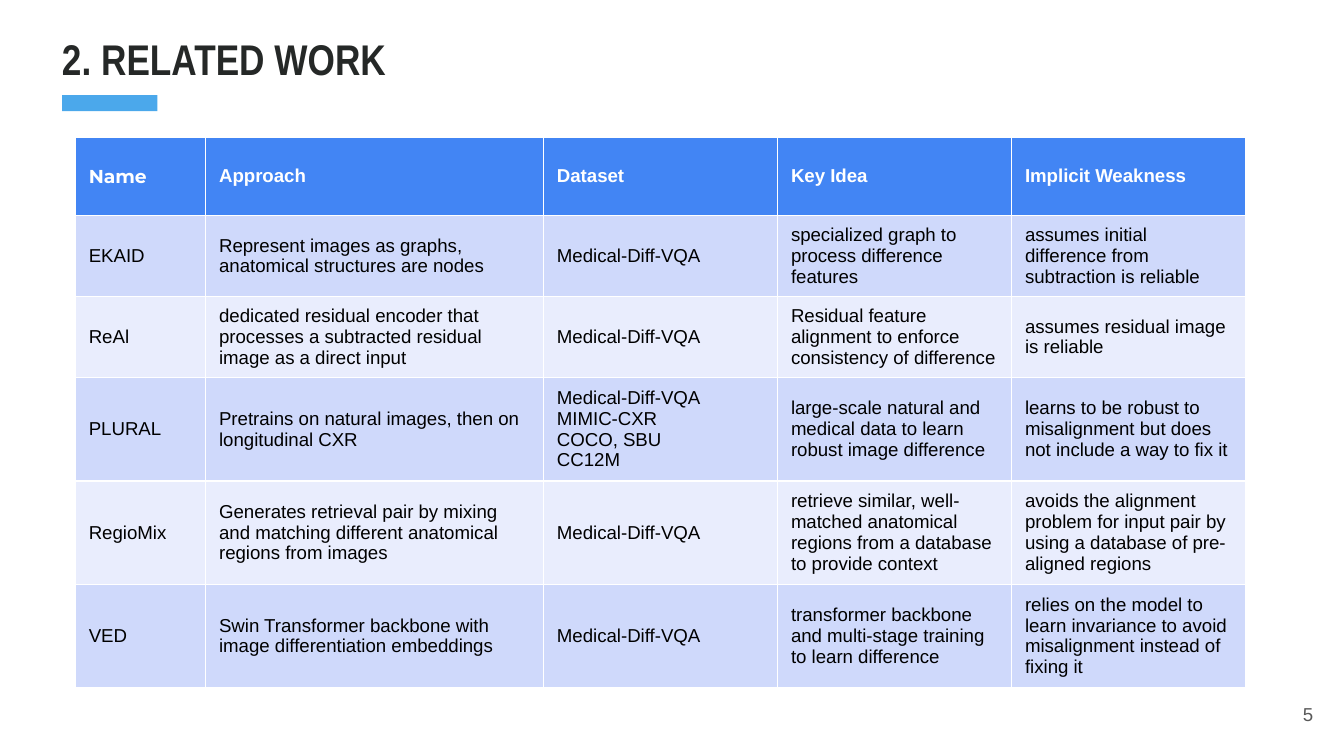
from pptx import Presentation
from pptx.dml.color import RGBColor
from pptx.enum.shapes import MSO_SHAPE
from pptx.enum.text import MSO_ANCHOR, MSO_AUTO_SIZE, PP_ALIGN
from pptx.util import Pt

TITLE = "2. RELATED WORK"
PAGE = "5"
HEAD = ["Name", "Approach", "Dataset", "Key Idea", "Implicit Weakness"]
WORKS = [
    ["EKAID",
     "Represent images as graphs, anatomical structures are nodes",
     "Medical-Diff-VQA",
     "specialized graph to process difference features",
     "assumes initial difference from subtraction is reliable"],
    ["ReAl",
     "dedicated residual encoder that processes a subtracted residual image as a direct input",
     "Medical-Diff-VQA",
     "Residual feature alignment to enforce consistency of difference",
     "assumes residual image is reliable"],
    ["PLURAL",
     "Pretrains on natural images, then on longitudinal CXR",
     "Medical-Diff-VQA\nMIMIC-CXR\nCOCO, SBU\nCC12M",
     "large-scale natural and medical data to learn robust image difference",
     "learns to be robust to misalignment but does not include a way to fix it"],
    ["RegioMix",
     "Generates retrieval pair by mixing and matching different anatomical regions from images",
     "Medical-Diff-VQA",
     "retrieve similar, well-matched anatomical regions from a database to provide context",
     "avoids the alignment problem for input pair by using a database of pre-aligned regions"],
    ["VED",
     "Swin Transformer backbone with image differentiation embeddings",
     "Medical-Diff-VQA",
     "transformer backbone and multi-stage training to learn difference",
     "relies on the model to learn invariance to avoid misalignment instead of fixing it"],
]
WIDTHS = [69.8, 181, 125.4, 125.4, 125.4]
HEIGHTS = [42, 43.4, 43.4, 55.4, 55.4, 55.4]

THEME = {
    "title": ("Arial Narrow", 23, "252827", True),
    "name": ("Montserrat", 10, "FFFFFF", True),
    "head": ("Arial", 10, "FFFFFF", True),
    "cell": ("Arial", 10, "000000", False),
    "page": ("Arial", 10, "595959", False),
    "accent": "4BA8EB",
    "top": "4285F4",
    "bands": ["CFD9FB", "E9EDFD"],
}


def paint(item, color):
    item.fill.solid()
    item.fill.fore_color.rgb = RGBColor.from_string(color)


def write(frame, text, style, align=PP_ALIGN.LEFT):
    face, size, color, bold = THEME[style]
    frame.text = text
    for para in frame.paragraphs:
        para.alignment = align
        font = para.font
        font.name, font.size, font.bold = face, Pt(size), bold
        font.color.rgb = RGBColor.from_string(color)


def pad(frame, anchor):
    frame.word_wrap = True
    frame.auto_size = MSO_AUTO_SIZE.NONE
    frame.vertical_anchor = anchor
    frame.margin_left = frame.margin_right = Pt(7.2)
    frame.margin_top = frame.margin_bottom = Pt(7.2)


def add_title(slide):
    title = slide.shapes.title
    title.left, title.top = Pt(26), Pt(10)
    title.width, title.height = Pt(528.5), Pt(42.5)
    write(title.text_frame, TITLE, "title")
    pad(title.text_frame, MSO_ANCHOR.TOP)
    bar = slide.shapes.add_shape(MSO_SHAPE.RECTANGLE, Pt(33.3), Pt(51), Pt(51), Pt(8.6))
    bar.shadow.inherit = False
    bar.line.fill.background()
    paint(bar, THEME["accent"])


def add_grid(slide):
    rows = [HEAD] + WORKS
    table = slide.shapes.add_table(
        len(rows), len(HEAD), Pt(40.4), Pt(73.5), Pt(sum(WIDTHS)), Pt(sum(HEIGHTS))
    ).table
    for column, width in zip(table.columns, WIDTHS):
        column.width = Pt(width)
    for r, (texts, height) in enumerate(zip(rows, HEIGHTS)):
        table.rows[r].height = Pt(height)
        for c, text in enumerate(texts):
            cell = table.cell(r, c)
            cell.vertical_anchor = MSO_ANCHOR.MIDDLE
            paint(cell, THEME["bands"][(r - 1) % 2] if r else THEME["top"])
            style = "cell" if r else "head" if c else "name"
            write(cell.text_frame, text, style)


def add_page(slide):
    box = slide.shapes.add_textbox(Pt(667.4), Pt(367.2), Pt(43.2), Pt(31))
    write(box.text_frame, PAGE, "page", PP_ALIGN.RIGHT)
    pad(box.text_frame, MSO_ANCHOR.MIDDLE)


def main():
    deck = Presentation()
    deck.slide_width, deck.slide_height = Pt(720), Pt(405)
    slide = deck.slides.add_slide(deck.slide_layouts[5])
    add_title(slide)
    add_grid(slide)
    add_page(slide)
    deck.save("out.pptx")


if __name__ == "__main__":
    main()
